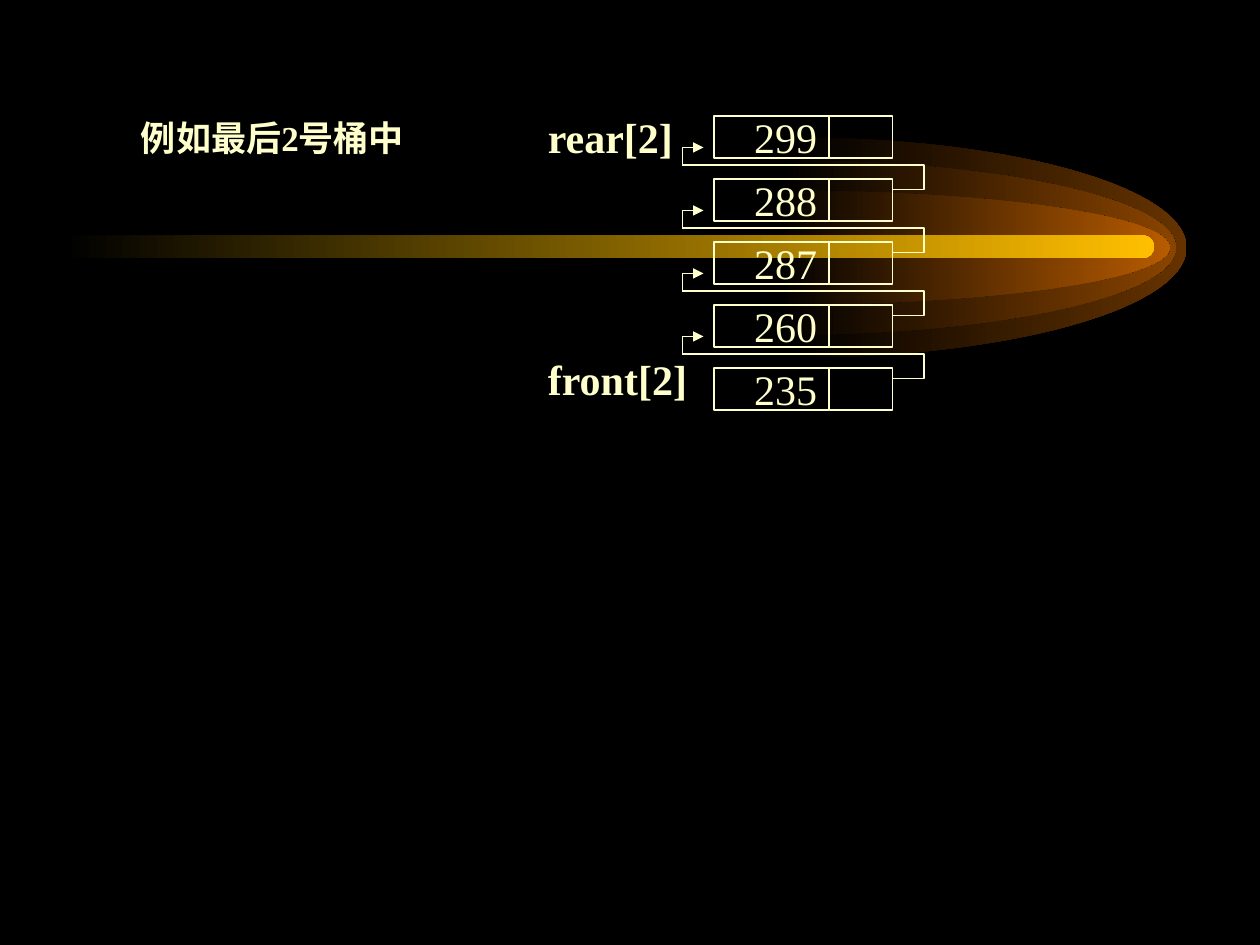
from dataclasses import dataclass

from lxml import etree
from pptx import Presentation
from pptx.dml.color import RGBColor
from pptx.enum.shapes import MSO_CONNECTOR, MSO_SHAPE
from pptx.enum.text import MSO_ANCHOR, MSO_AUTO_SIZE, PP_ALIGN
from pptx.oxml.ns import qn
from pptx.util import Pt

RECT, ROUND_RECT = MSO_SHAPE.RECTANGLE, MSO_SHAPE.ROUNDED_RECTANGLE
STRAIGHT, ELBOW = MSO_CONNECTOR.STRAIGHT, MSO_CONNECTOR.ELBOW
MIDDLE, FIT_SHAPE = MSO_ANCHOR.MIDDLE, MSO_AUTO_SIZE.SHAPE_TO_FIT_TEXT
LEFT, RIGHT = PP_ALIGN.LEFT, PP_ALIGN.RIGHT


@dataclass(frozen=True)
class Theme:
    """Colours, font and type sizes of the slide."""
    back: str = "000000"
    ink: str = "FFFFCC"
    beam: str = "FFBF00"
    glows: tuple = ("663300", "894400", "B75B00")
    font: str = "Times New Roman"
    note_size: int = 20
    node_size: int = 24
    line_width: int = 1


THEME = Theme()
NODES = ("299", "288", "287", "260", "235")
ROW_TOP, ROW_STEP, ROW_HEIGHT = 66.25, 36, 24
VALUE_LEFT, VALUE_WIDTH, POINTER_WIDTH = 408, 66, 36
LINK_LEFT, LINK_BULGE = 390, 18
CURVE = 0.55


def rgb(value):
    """Return the colour for a hex string."""
    return RGBColor.from_string(value)


def paint_fade(sp, colour):
    """Fill a shape from the background colour to the given one, without outline."""
    sp.shadow.inherit = False
    sp.line.fill.background()
    sp.fill.gradient()
    sp.fill.gradient_angle = 0
    for stop, value in zip(sp.fill.gradient_stops, (THEME.back, colour)):
        stop.color.rgb = rgb(value)


def add_glow(slide, left, middle, width, height, colour):
    """Draw the right half of an ellipse as two curves with a fade."""
    units = ((0, -1), (CURVE, -1), (1, -CURVE), (1, 0), (1, CURVE), (CURVE, 1), (0, 1), (0, 0))
    points = [(Pt(left + width * x), Pt(middle + height / 2 * y)) for x, y in units]
    builder = slide.shapes.build_freeform(*points[0])
    builder.add_line_segments(points[1:], close=True)
    sp = builder.convert_to_shape()
    lines = list(sp._element.iter(qn("a:lnTo")))
    for first in (0, 3):
        curve = etree.Element(qn("a:cubicBezTo"))
        lines[first].addprevious(curve)
        for line in lines[first:first + 3]:
            curve.append(line[0])
            line.getparent().remove(line)
    paint_fade(sp, colour)


def add_beam(slide, left, top, width, height):
    """Draw the bright rounded bar."""
    sp = slide.shapes.add_shape(ROUND_RECT, Pt(left), Pt(top), Pt(width), Pt(height))
    sp.adjustments[0] = 0.5
    paint_fade(sp, THEME.beam)


def set_text(sp, text, size, bold=False, align=LEFT):
    """Write one unwrapped line of text into a shape."""
    tf = sp.text_frame
    tf.text = text
    tf.word_wrap = False
    p = tf.paragraphs[0]
    p.alignment = align
    font = p.runs[0].font
    font.name, font.size, font.bold = THEME.font, Pt(size), bold
    font.color.rgb = rgb(THEME.ink)


def add_label(slide, text, left, top, width, height, size):
    """Add a bold label."""
    sp = slide.shapes.add_textbox(Pt(left), Pt(top), Pt(width), Pt(height))
    set_text(sp, text, size, bold=True)
    sp.text_frame.auto_size = FIT_SHAPE


def add_cell(slide, left, top, width):
    """Add an outlined cell of a list node."""
    sp = slide.shapes.add_shape(RECT, Pt(left), Pt(top), Pt(width), Pt(ROW_HEIGHT))
    sp.shadow.inherit = False
    sp.fill.background()
    sp.line.color.rgb = rgb(THEME.ink)
    sp.line.width = Pt(THEME.line_width)
    return sp


def add_node(slide, value, top):
    """Add a list node: a value cell and a pointer cell."""
    sp = add_cell(slide, VALUE_LEFT, top, VALUE_WIDTH)
    set_text(sp, value, THEME.node_size, align=RIGHT)
    sp.text_frame.vertical_anchor = MIDDLE
    add_cell(slide, VALUE_LEFT + VALUE_WIDTH, top, POINTER_WIDTH)


def add_line(slide, start, end, kind=STRAIGHT):
    """Add a thin connector between two points."""
    line = slide.shapes.add_connector(kind, *map(Pt, start + end))
    line.line.color.rgb = rgb(THEME.ink)
    line.line.width = Pt(THEME.line_width)
    etree.SubElement(line._element.spPr, qn("a:effectLst"))
    return line


def add_link(slide, top):
    """Link the pointer of the next node back to the node at the given top."""
    right = VALUE_LEFT + VALUE_WIDTH + POINTER_WIDTH
    turn, tip = (LINK_LEFT, top + 28.25), (LINK_LEFT, top + 18)
    bend = add_line(slide, (right, top + ROW_STEP + 6), turn, ELBOW)
    geometry = bend._element.spPr.find(qn("a:prstGeom"))
    adjust = geometry.find(qn("a:avLst"))
    if adjust is None:
        adjust = etree.SubElement(geometry, qn("a:avLst"))
    share = round(-100000 * LINK_BULGE / (right - LINK_LEFT))
    etree.SubElement(adjust, qn("a:gd"), name="adj1", fmla=f"val {share}")
    add_line(slide, turn, tip)
    arrow = add_line(slide, tip, (LINK_LEFT + 12, top + 18))
    etree.SubElement(arrow.line._get_or_add_ln(), qn("a:tailEnd"), type="triangle")


def main():
    """Build the slide and save it."""
    prs = Presentation()
    prs.slide_width, prs.slide_height = Pt(720), Pt(540)
    slide = prs.slides.add_slide(prs.slide_layouts[6])
    slide.background.fill.solid()
    slide.background.fill.fore_color.rgb = rgb(THEME.back)

    glow_sizes = ((453, 126), (447, 100), (443.5, 65.5))
    for (left, height), colour in zip(glow_sizes, THEME.glows):
        add_glow(slide, left, 141.5, 225, height, colour)
    add_beam(slide, 36, 134.5, 623.5, 13)

    add_label(slide, "例如最后2号桶中", 73.5, 63, 177, 31.5, THEME.note_size)
    add_label(slide, "rear[2]", 306, 60, 86.5, 36, THEME.node_size)
    add_label(slide, "front[2]", 306, 198.25, 94.5, 36, THEME.node_size)

    tops = [ROW_TOP + ROW_STEP * i for i in range(len(NODES))]
    for value, top in zip(NODES, tops):
        add_node(slide, value, top)
    for top in tops[:-1]:
        add_link(slide, top)
    prs.save("out.pptx")


if __name__ == "__main__":
    main()
